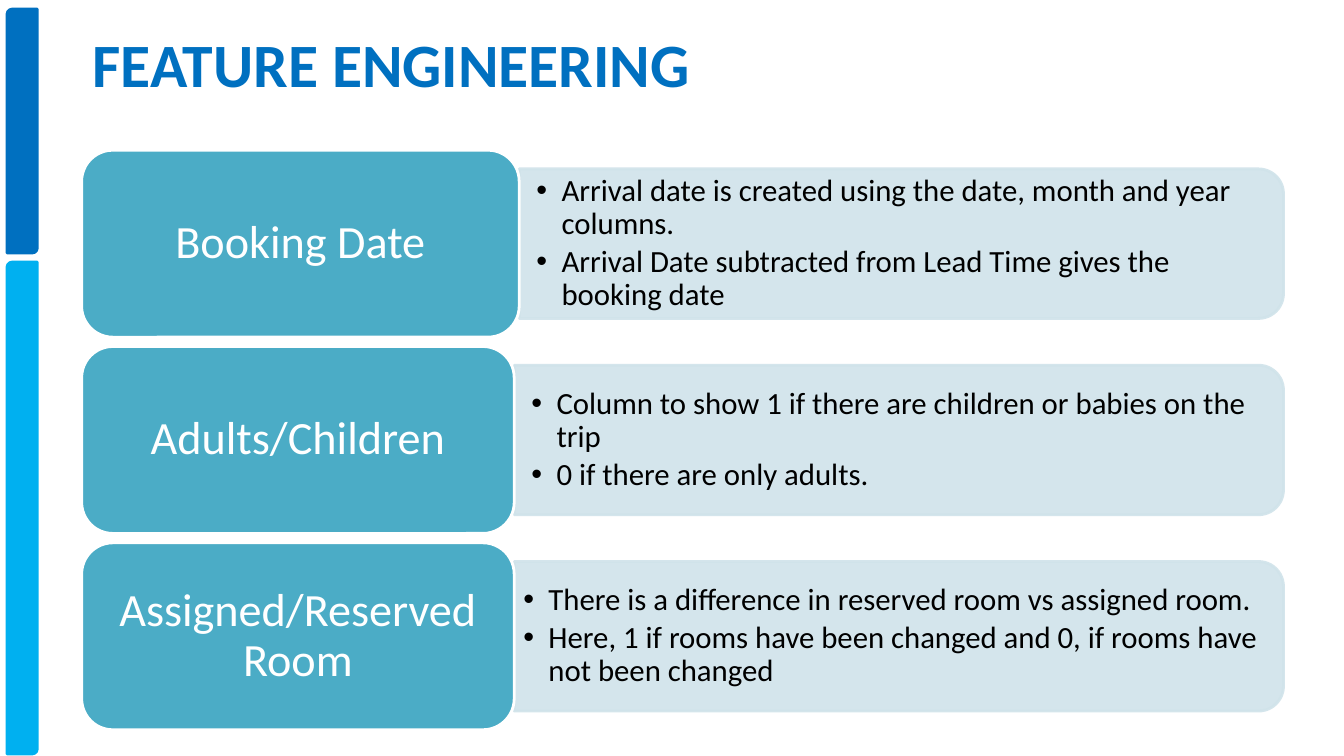
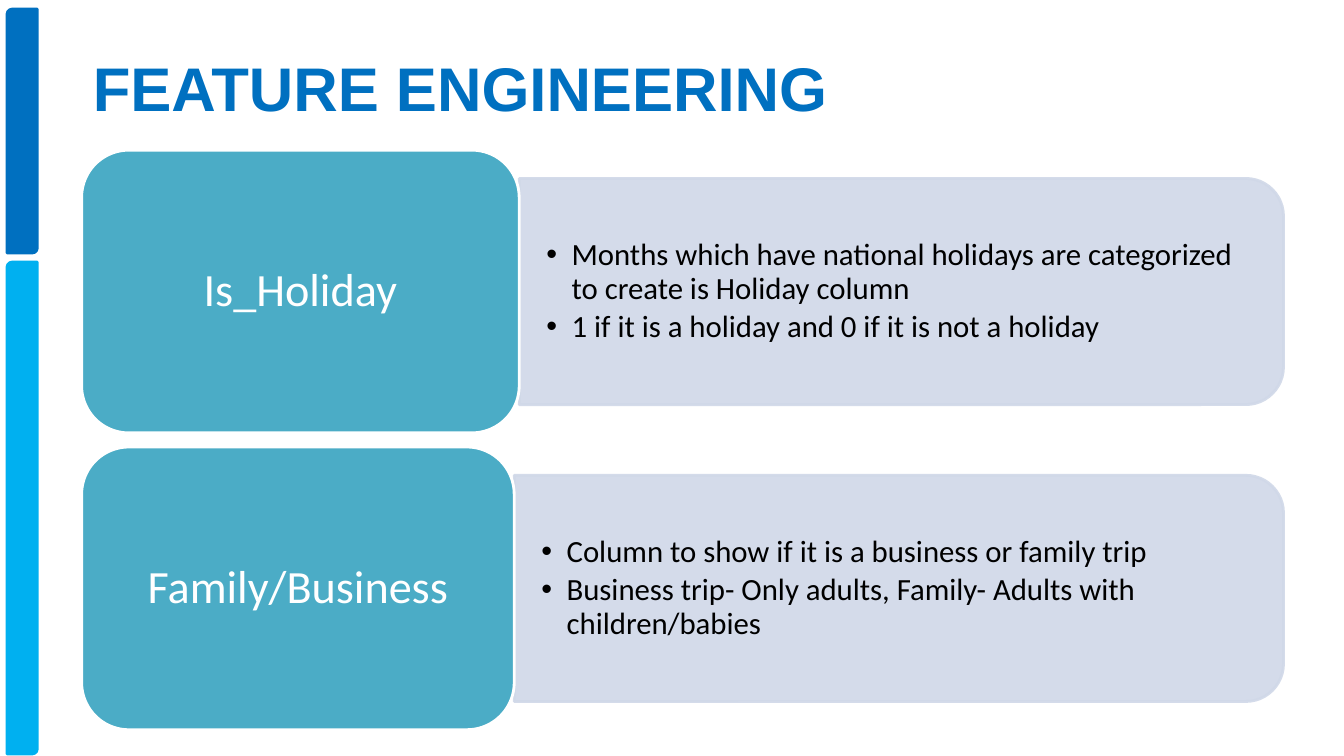
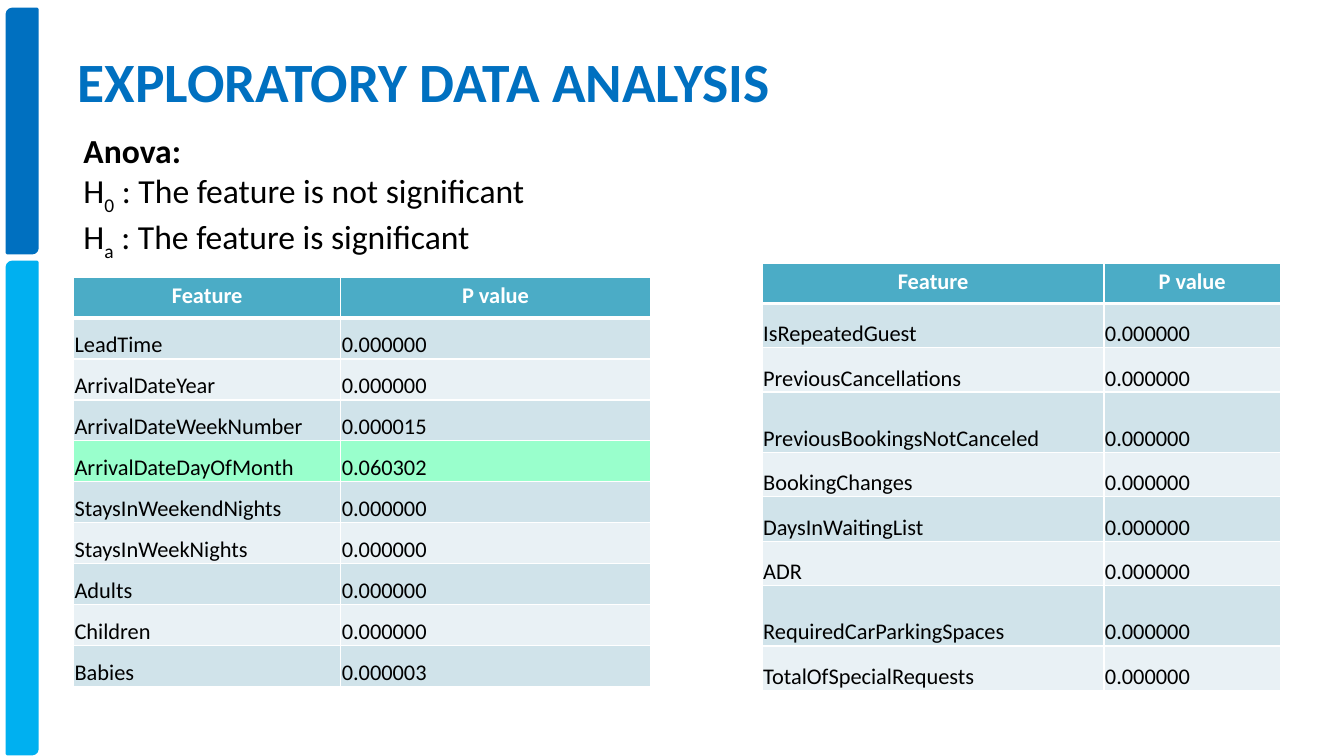
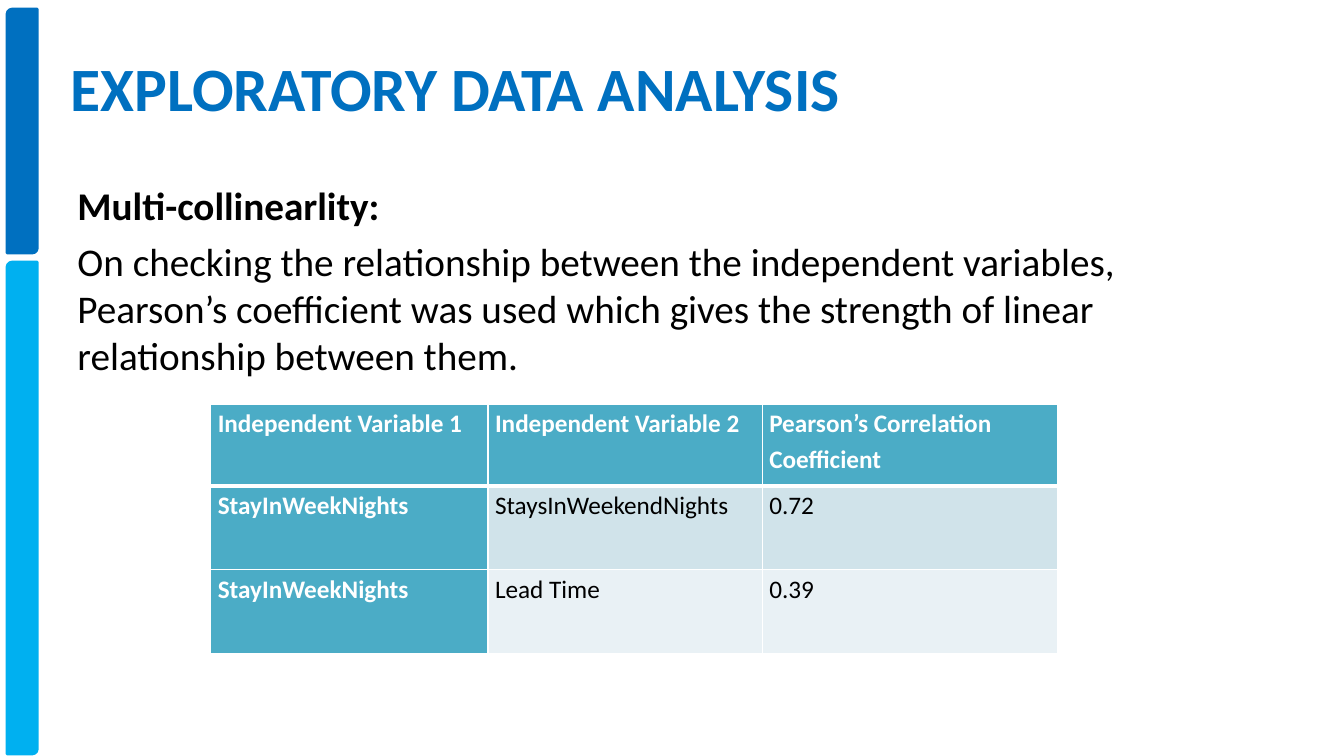
from dataclasses import dataclass

from lxml import etree
from pptx import Presentation
from pptx.dml.color import RGBColor
from pptx.enum.shapes import MSO_SHAPE
from pptx.enum.text import MSO_ANCHOR, MSO_AUTO_SIZE, PP_ALIGN
from pptx.oxml.ns import qn
from pptx.util import Inches, Pt

ROUND_RECT = MSO_SHAPE.ROUNDED_RECTANGLE
ROUND_TOP = MSO_SHAPE.ROUND_2_SAME_RECTANGLE
ROUND_DIAGONAL = MSO_SHAPE.ROUND_2_DIAG_RECTANGLE
TOP, MIDDLE, BOTTOM = MSO_ANCHOR.TOP, MSO_ANCHOR.MIDDLE, MSO_ANCHOR.BOTTOM
LEFT, CENTER = PP_ALIGN.LEFT, PP_ALIGN.CENTER
NO_FIT = MSO_AUTO_SIZE.NONE
TITLE_ONLY = 5


@dataclass(frozen=True)
class Theme:
    font: str = "Calibri"
    blue: str = "0070C0"
    sky: str = "00B0F0"
    teal: str = "4BACC6"
    pale: str = "D0E3EA"
    paler: str = "E9F1F5"
    lilac: str = "D0D8E8"
    mint: str = "99FFCC"
    white: str = "FFFFFF"
    black: str = "000000"
    title: float = 44
    small_title: float = 39.6
    label: float = 33
    body: float = 28
    hypothesis: float = 24
    bullet: float = 22
    coefficient: float = 18
    p_value: float = 16


THEME = Theme()


@dataclass(frozen=True)
class TableStyle:
    size: float
    header_align: int
    body_anchor: int
    header_insets: tuple
    body_insets: tuple
    line_spacing: float = 1.0
    label_column: bool = False


P_VALUE_STYLE = TableStyle(THEME.p_value, CENTER, BOTTOM,
                           (0.1, 0.05, 0.1, 0.05), (0.01, 0.01, 0.01, 0))
COEFFICIENT_STYLE = TableStyle(THEME.coefficient, LEFT, TOP,
                               (0.07, 0, 0.07, 0), (0.07, 0, 0.07, 0), 1.15, True)


def rgb(color):
    return RGBColor.from_string(color)


def format_runs(para, size, color, bold=False, font=THEME.font):
    for span in para.runs:
        span.font.name = font
        span.font.size = Pt(size)
        span.font.bold = bold
        span.font.color.rgb = rgb(color)


def set_insets(target, insets):
    (target.margin_left, target.margin_top,
     target.margin_right, target.margin_bottom) = map(Inches, insets)


def add_shape(page, kind, at, fill, line):
    shape = page.shapes.add_shape(kind, *map(Inches, at))
    shape.shadow.inherit = False
    shape.fill.solid()
    shape.fill.fore_color.rgb = rgb(fill)
    shape.line.color.rgb = rgb(line)
    shape.line.width = Pt(2)
    return shape


def add_text_box(page, at, anchor=TOP):
    box = page.shapes.add_textbox(*map(Inches, at))
    box.text_frame.word_wrap = True
    box.text_frame.vertical_anchor = anchor
    return box.text_frame


def move_bands_to_layout(page):
    for top, height, color in ((0.09, 2.42, THEME.blue), (2.6, 4.88, THEME.sky)):
        band = add_shape(page, ROUND_DIAGONAL, (0.07, top, 0.3, height), color, color)
        page.slide_layout.shapes.element.insert(2, band.element)


def add_page(deck, title, at, size=THEME.title, font=THEME.font):
    page = deck.slides.add_slide(deck.slide_layouts[TITLE_ONLY])
    holder = page.shapes.title
    holder.left, holder.top, holder.width, holder.height = map(Inches, at)
    frame = holder.text_frame
    frame.text = title
    frame.auto_size = NO_FIT
    frame.vertical_anchor = MIDDLE
    para = frame.paragraphs[0]
    para.alignment = LEFT
    format_runs(para, size, THEME.blue, True, font)
    return page


def make_translucent(shape, percent):
    for color in shape.element.spPr.iter(qn("a:srgbClr")):
        etree.SubElement(color, qn("a:alpha"), val=str(percent * 1000))


def add_bullet(para):
    properties = para._p.get_or_add_pPr()
    properties.set("marL", str(Inches(0.25)))
    properties.set("indent", str(Inches(-0.25)))
    etree.SubElement(properties, qn("a:buFont"), typeface="Arial")
    etree.SubElement(properties, qn("a:buChar"), char="•")


def add_panel(page, left, top, width, height, color):
    at = (left + (width - height) / 2, top + (height - width) / 2, height, width)
    panel = add_shape(page, ROUND_TOP, at, color, color)
    panel.rotation = 90
    make_translucent(panel, 90)


def add_bullets(page, at, bullets, inset):
    frame = add_text_box(page, at, MIDDLE)
    set_insets(frame, (inset, inset / 2, inset, inset / 2))
    for index, bullet in enumerate(bullets):
        para = frame.add_paragraph() if index else frame.paragraphs[0]
        para.text = bullet
        add_bullet(para)
        para.line_spacing = 0.9
        para.space_after = Pt(3.5)
        format_runs(para, THEME.bullet, THEME.black)


def add_label(page, at, text):
    label = add_shape(page, ROUND_RECT, at, THEME.teal, THEME.white)
    frame = label.text_frame
    frame.text = text
    frame.word_wrap = True
    frame.vertical_anchor = MIDDLE
    set_insets(frame, (0.23, 0.16, 0.23, 0.16))
    para = frame.paragraphs[0]
    para.alignment = CENTER
    para.line_spacing = 0.9
    format_runs(para, THEME.label, THEME.white)


def add_feature_list(page, features, color):
    left, top, right, total = 0.81, 1.49, 12.73, 5.75
    count = len(features)
    height = total / (count + 0.05 * (count - 1))
    panel_height = 0.8 * height
    margin = 0.05 * panel_height
    for index, (name, inset, bullets) in enumerate(features):
        row_top = top + index * 1.05 * height
        label_width = 4.29 if index else 4.34
        panel_left = left + label_width
        panel_top = row_top + 0.1 * height
        panel_width = right - panel_left
        add_panel(page, panel_left, panel_top, panel_width, panel_height, color)
        add_bullets(page, (panel_left, panel_top + margin, panel_width - margin,
                           panel_height - 2 * margin), bullets, inset)
        add_label(page, (left, row_top, label_width, height), name)


def set_borders(cell, top, bottom):
    properties = cell._tc.get_or_add_tcPr()
    sides = (("a:lnL", 1), ("a:lnR", 1), ("a:lnT", top), ("a:lnB", bottom))
    for index, (side, width) in enumerate(sides):
        line = etree.Element(qn(side), w=str(Pt(width)))
        fill = etree.SubElement(line, qn("a:solidFill"))
        etree.SubElement(fill, qn("a:srgbClr"), val=THEME.white)
        properties.insert(index, line)


def format_cell(cell, text, fill, style, header, strong):
    cell.text = text
    cell.fill.solid()
    cell.fill.fore_color.rgb = rgb(fill)
    cell.vertical_anchor = TOP if header else style.body_anchor
    set_insets(cell, style.header_insets if header else style.body_insets)
    para = cell.text_frame.paragraphs[0]
    para.alignment = style.header_align if header else LEFT
    para.line_spacing = style.line_spacing
    format_runs(para, style.size, THEME.white if strong else THEME.black, strong)


def add_table(page, left, top, widths, heights, rows, style, highlight=None):
    size = (left, top, sum(widths), sum(heights))
    table = page.shapes.add_table(len(rows), len(widths), *map(Inches, size)).table
    table.horz_banding = False
    for column, width in zip(table.columns, widths):
        column.width = Inches(width)
    for row, height in zip(table.rows, heights):
        row.height = Inches(height)
    for row_index, values in enumerate(rows):
        header = row_index == 0
        band = THEME.pale if row_index % 2 else THEME.paler
        if row_index == highlight:
            band = THEME.mint
        for column_index, text in enumerate(values):
            strong = header or (style.label_column and column_index == 0)
            cell = table.cell(row_index, column_index)
            format_cell(cell, text, THEME.teal if strong else band, style, header, strong)
            set_borders(cell, 3 if row_index == 1 else 1, 3 if header else 1)


def add_hypotheses(page):
    frame = add_text_box(page, (0.73, 1.24, 11.2, 1.31))
    heading = frame.paragraphs[0]
    heading.text = "Anova:"
    format_runs(heading, THEME.hypothesis, THEME.black, True)
    for mark, meaning in (("0", "not significant"), ("a", "significant")):
        para = frame.add_paragraph()
        for text in ("H", mark, f" : The feature is {meaning}"):
            para.add_run().text = text
        format_runs(para, THEME.hypothesis, THEME.black)
        para.runs[1].font._element.set("baseline", "-25000")


def add_collinearity_text(page):
    frame = add_text_box(page, (0.67, 1.75, 12, 2.2))
    heading = frame.paragraphs[0]
    heading.text = "Multi-collinearlity:"
    format_runs(heading, THEME.body, THEME.black, True)
    para = frame.add_paragraph()
    para.text = ("On checking the relationship between the independent variables, "
                 "Pearson’s coefficient was used which gives the strength of linear "
                 "relationship between them.")
    para.space_before = Pt(6)
    format_runs(para, THEME.body, THEME.black)


def build_booking_features(deck):
    page = add_page(deck, "FEATURE ENGINEERING", (0.82, 0, 9.85, 1.25))
    move_bands_to_layout(page)
    add_feature_list(page, (
        ("Booking Date", 0.17, (
            "Arrival date is created using the date, month and year columns.",
            "Arrival Date subtracted from Lead Time gives the booking date")),
        ("Adults/Children", 0.17, (
            "Column to show 1 if there are children or babies on the trip",
            "0 if there are only adults.")),
        ("Assigned/Reserved Room", 0.09, (
            "There is a difference in reserved room vs assigned room.",
            "Here, 1 if rooms have been changed and 0, if rooms have not been changed")),
    ), THEME.pale)


def build_trip_features(deck):
    page = add_page(deck, "FEATURE ENGINEERING", (0.82, 0.24, 9.85, 1.25), font="Arial")
    add_feature_list(page, (
        ("Is_Holiday", 0.27, (
            "Months which have national holidays are categorized to create is Holiday column",
            "1 if it is a holiday and 0 if it is not a holiday")),
        ("Family/Business", 0.27, (
            "Column to show if it is a business or family trip",
            "Business trip- Only adults, Family- Adults with children/babies")),
    ), THEME.lilac)


def build_anova(deck):
    page = add_page(deck, "EXPLORATORY DATA ANALYSIS", (0.67, 0.38, 12, 0.83),
                    THEME.small_title)
    add_hypotheses(page)
    header = ("Feature", "P value")
    zero = "0.000000"
    stay_rows = (
        header,
        ("LeadTime", zero),
        ("ArrivalDateYear", zero),
        ("ArrivalDateWeekNumber", "0.000015"),
        ("ArrivalDateDayOfMonth", "0.060302"),
        ("StaysInWeekendNights", zero),
        ("StaysInWeekNights", zero),
        ("Adults", zero),
        ("Children", zero),
        ("Babies", "0.000003"),
    )
    add_table(page, 0.73, 2.75, (2.65, 3.07), [4.06 / len(stay_rows)] * len(stay_rows),
              stay_rows, P_VALUE_STYLE, highlight=4)
    guest_features = ("IsRepeatedGuest", "PreviousCancellations",
                      "PreviousBookingsNotCanceled", "BookingChanges",
                      "DaysInWaitingList", "ADR", "RequiredCarParkingSpaces",
                      "TotalOfSpecialRequests")
    guest_rows = [header] + [(feature, zero) for feature in guest_features]
    add_table(page, 7.56, 2.61, (3.39, 1.75),
              (0.4, 0.44, 0.44, 0.6, 0.44, 0.44, 0.44, 0.6, 0.44),
              guest_rows, P_VALUE_STYLE)


def build_collinearity(deck):
    page = add_page(deck, "EXPLORATORY DATA ANALYSIS", (0.6, 0.24, 9.85, 1.25))
    add_collinearity_text(page)
    add_table(page, 2.09, 4.01, (2.75, 2.72, 2.93), (0.81, 0.83, 0.83), (
        ("Independent Variable 1", "Independent Variable 2",
         "Pearson’s Correlation Coefficient"),
        ("StayInWeekNights", "StaysInWeekendNights", "0.72"),
        ("StayInWeekNights", "Lead Time", "0.39"),
    ), COEFFICIENT_STYLE)


def main():
    deck = Presentation()
    deck.slide_width = Inches(13.33)
    deck.slide_height = Inches(7.5)
    build_booking_features(deck)
    build_trip_features(deck)
    build_anova(deck)
    build_collinearity(deck)
    deck.save("out.pptx")


if __name__ == "__main__":
    main()
